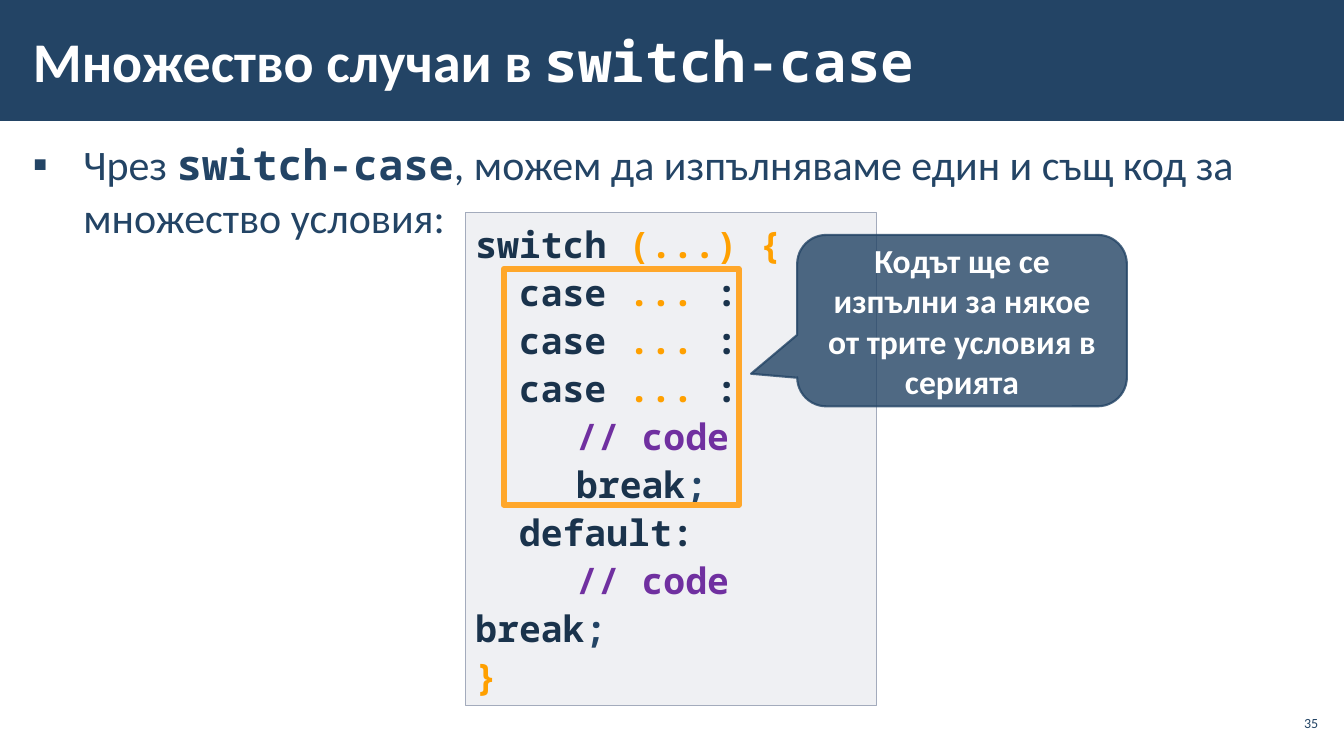
from lxml.etree import SubElement
from pptx import Presentation
from pptx.dml.color import RGBColor
from pptx.enum.shapes import MSO_SHAPE
from pptx.enum.text import MSO_ANCHOR, PP_ALIGN
from pptx.oxml.ns import qn
from pptx.util import Cm, Pt

NAVY, INK, AMBER, PURPLE, WHITE = "234465", "1A334C", "FFA000", "7030A0", "FFFFFF"
SANS, MONO = "Calibri", "Noto Sans Mono"

# Each run: text, font, colour, bold
TITLE = [("Множество случаи в ", SANS, WHITE, True),
         ("switch-case", MONO, WHITE, True)]
BODY = [("Чрез ", SANS, NAVY, False),
        ("switch-case", MONO, NAVY, True),
        (", можем да изпълняваме един и същ код за множество условия:",
         SANS, NAVY, False)]
NUMBER = [("35", SANS, NAVY, False)]
NOTE = [("Кодът ще се изпълни за някое от трите условия в серията",
         SANS, WHITE, True)]

# Each line of code: indent level, then pairs of text and colour
CASE = (1, [("case ", INK), ("... ", AMBER), (":", INK)])
CODE = [
    (0, [("switch ", INK), ("(...) {", AMBER)]),
    CASE, CASE, CASE,
    (2, [("// code", PURPLE)]),
    (2, [("break", INK), (";", NAVY)]),
    (1, [("default:", INK)]),
    (2, [("// code", PURPLE)]),
    (0, [("break", INK), (";", NAVY)]),
    (0, [("}", AMBER)]),
]
INDENT = [0, 1.1, 2.54]


def paint(target, color, alpha=100):
    """Give a fill a solid colour, with opacity in percent."""
    target.solid()
    target.fore_color.rgb = RGBColor.from_string(color)
    if alpha < 100:
        node = target._xPr.find(qn("a:solidFill"))[0]
        SubElement(node, qn("a:alpha"), val=str(alpha * 1000))


def add_form(kind, box, fill=None, line=None, width=1, alpha=100, edge=100):
    form = slide.shapes.add_shape(kind, *map(Cm, box))
    form.shadow.inherit = False
    if fill:
        paint(form.fill, fill, alpha)
    else:
        form.fill.background()
    if line:
        paint(form.line.fill, line, edge)
        form.line.width = Pt(width)
    else:
        form.line.fill.background()
    return form


def write(para, runs, size, align=PP_ALIGN.LEFT):
    para.alignment = align
    for text, face, color, bold in runs:
        run = para.add_run()
        run.text = text
        font = run.font
        font.name, font.size, font.bold = face, Pt(size), bold
        paint(font.fill, color)


def add_label(box, runs, size, anchor, side=0.3, align=PP_ALIGN.LEFT):
    frame = slide.shapes.add_textbox(*map(Cm, box)).text_frame
    frame.word_wrap = True
    frame.vertical_anchor = anchor
    frame.margin_left = frame.margin_right = Cm(side)
    frame.margin_top = frame.margin_bottom = Cm(0.1)
    write(frame.paragraphs[0], runs, size, align)
    return frame.paragraphs[0]


def set_indent(para, left, first=0):
    props = para._p.get_or_add_pPr()
    props.set("marL", str(Cm(left)))
    props.set("indent", str(Cm(first)))
    return props


deck = Presentation()
deck.slide_width, deck.slide_height = Cm(33.87), Cm(19.05)
slide = deck.slides.add_slide(deck.slide_layouts[6])

add_form(MSO_SHAPE.RECTANGLE, (0, 0, 33.87, 3.05), NAVY)
add_label((0.53, 0.28, 26.39, 2.46), TITLE, 40, MSO_ANCHOR.MIDDLE)
add_label((32.13, 17.78, 1.19, 0.86), NUMBER, 10, MSO_ANCHOR.MIDDLE,
          0.1, PP_ALIGN.RIGHT)

body = add_label((0.53, 3.33, 32.82, 14.45), BODY, 30, MSO_ANCHOR.TOP)
body.line_spacing = 1.05
body.space_before = body.space_after = Pt(6)
props = set_indent(body, 1.27, -1.27)
SubElement(props, qn("a:buFont"), typeface=SANS)
SubElement(props, qn("a:buChar"), char="▪")

panel = add_form(MSO_SHAPE.RECTANGLE, (11.73, 5.36, 10.36, 12.42),
                 "C2C7D2", "A3ABBC", 1, alpha=25).text_frame
panel.vertical_anchor = MSO_ANCHOR.TOP
for i, (level, parts) in enumerate(CODE):
    para = panel.add_paragraph() if i else panel.paragraphs[0]
    write(para, [(text, MONO, color, True) for text, color in parts], 26)
    para.line_spacing = 1.1
    set_indent(para, INDENT[level])

add_form(MSO_SHAPE.RECTANGLE, (12.7, 6.78, 5.92, 5.94), line="FFA72A", width=4.5)

note = add_form(MSO_SHAPE.ROUNDED_RECTANGULAR_CALLOUT, (20.09, 5.92, 8.31, 4.32),
                NAVY, NAVY, 1.5, alpha=80, edge=80)
for i, value in enumerate((-0.64, 0.31, 0.17)):
    note.adjustments[i] = value
note.text_frame.vertical_anchor = MSO_ANCHOR.MIDDLE
write(note.text_frame.paragraphs[0], NOTE, 24, PP_ALIGN.CENTER)

deck.save("out.pptx")
